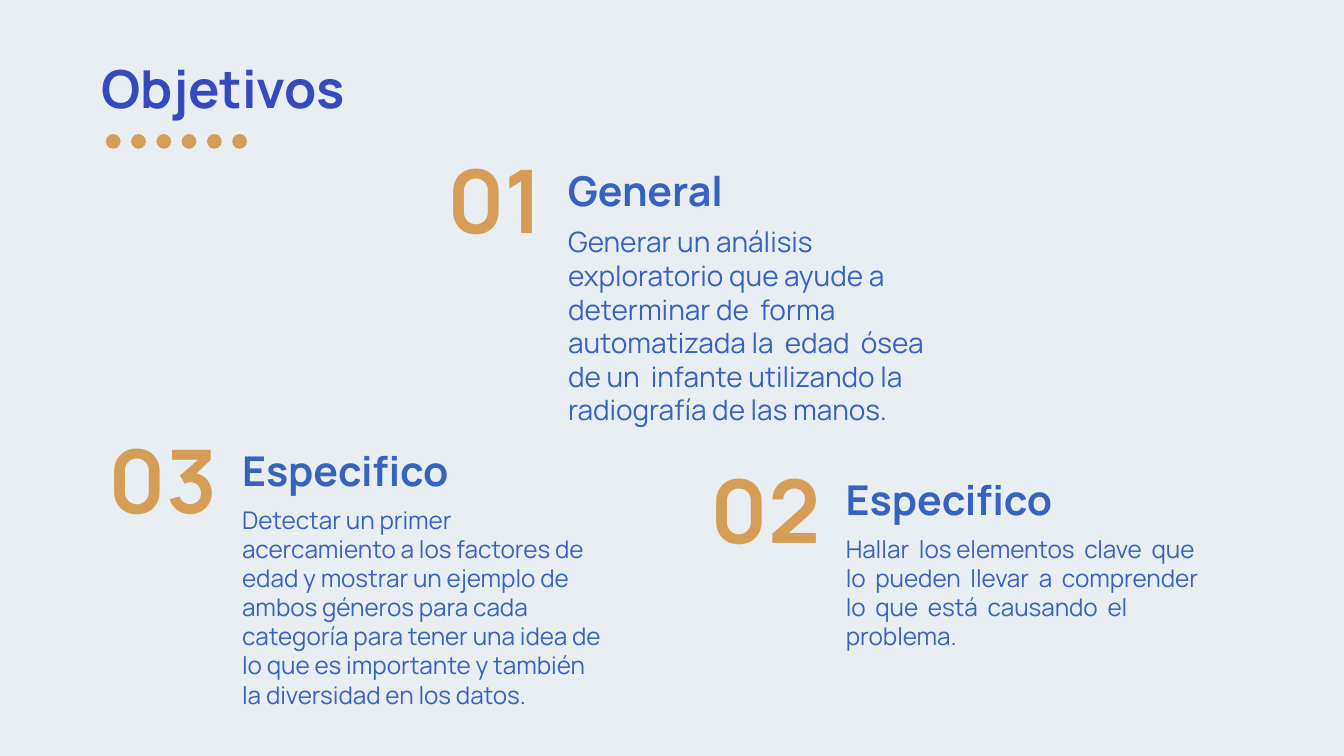
from pptx import Presentation
from pptx.dml.color import RGBColor
from pptx.enum import shapes, text
from pptx.util import Pt

BACKGROUND = RGBColor(0xE9, 0xEE, 0xF2)
INDIGO = RGBColor(0x36, 0x4A, 0xBF)
BLUE = RGBColor(0x36, 0x63, 0xBF)
OCHRE = RGBColor(0xD6, 0x9D, 0x56)
FONT = "Manrope"
TOP, MIDDLE = text.MSO_ANCHOR.TOP, text.MSO_ANCHOR.MIDDLE
LEFT, RIGHT = text.PP_ALIGN.LEFT, text.PP_ALIGN.RIGHT

presentation = Presentation()
presentation.slide_width, presentation.slide_height = Pt(720), Pt(405)
slide = presentation.slides.add_slide(presentation.slide_layouts[6])
slide.background.fill.solid()
slide.background.fill.fore_color.rgb = BACKGROUND


def add_text(content, left, top, width, height, size, color,
             bold=True, anchor=MIDDLE, align=LEFT):
    box = slide.shapes.add_textbox(Pt(left), Pt(top), Pt(width), Pt(height))
    frame = box.text_frame
    frame.word_wrap = True
    frame.vertical_anchor = anchor
    frame.margin_left = frame.margin_right = Pt(7.2)
    frame.margin_top = frame.margin_bottom = Pt(7.2)
    frame.text = content
    paragraph = frame.paragraphs[0]
    paragraph.alignment = align
    font = paragraph.runs[0].font
    font.name, font.size, font.bold = FONT, Pt(size), bold
    font.color.rgb = color


# Title
add_text("Objetivos", 47.5, 23, 479, 45.4, 28, INDIGO, anchor=TOP)

# Row of dots under the title
dots = slide.shapes.add_group_shape()
for index in range(6):
    dot = dots.shapes.add_shape(shapes.MSO_SHAPE.OVAL, Pt(56.7 + 13.54 * index),
                                Pt(71.8), Pt(7.9), Pt(7.9))
    dot.shadow.inherit = False
    dot.fill.solid()
    dot.fill.fore_color.rgb = OCHRE
    dot.line.fill.background()

# Objectives: number, heading, description, text left, top, body size, body height
objectives = [
    ("01", "General",
     "Generar un análisis exploratorio que ayude a determinar de  forma "
     "automatizada la  edad  ósea  de un  infante utilizando la radiografía "
     "de las manos.", 297.2, 86.3, 15, 122),
    ("02", "Especifico",
     "Hallar  los elementos  clave  que  lo  pueden  llevar  a  comprender  "
     "lo  que  está  causando  el problema.", 446, 252, 13, 78),
    ("03", "Especifico",
     "Detectar un primer acercamiento a los factores de edad y mostrar un "
     "ejemplo de ambos géneros para cada categoría para tener una idea de lo "
     "que es importante y también la diversidad en los datos.",
     122.6, 236.3, 13, 124),
]
for number, heading, description, left, top, size, height in objectives:
    add_text(number, left - 82.6, top, 83.5, 40.3, 47, OCHRE, align=RIGHT)
    add_text(heading, left, top + 2.4, 200, 26, 22, BLUE)
    add_text(description, left, top + 27, 209, height, size, BLUE,
             bold=False, anchor=TOP)

presentation.save("out.pptx")
